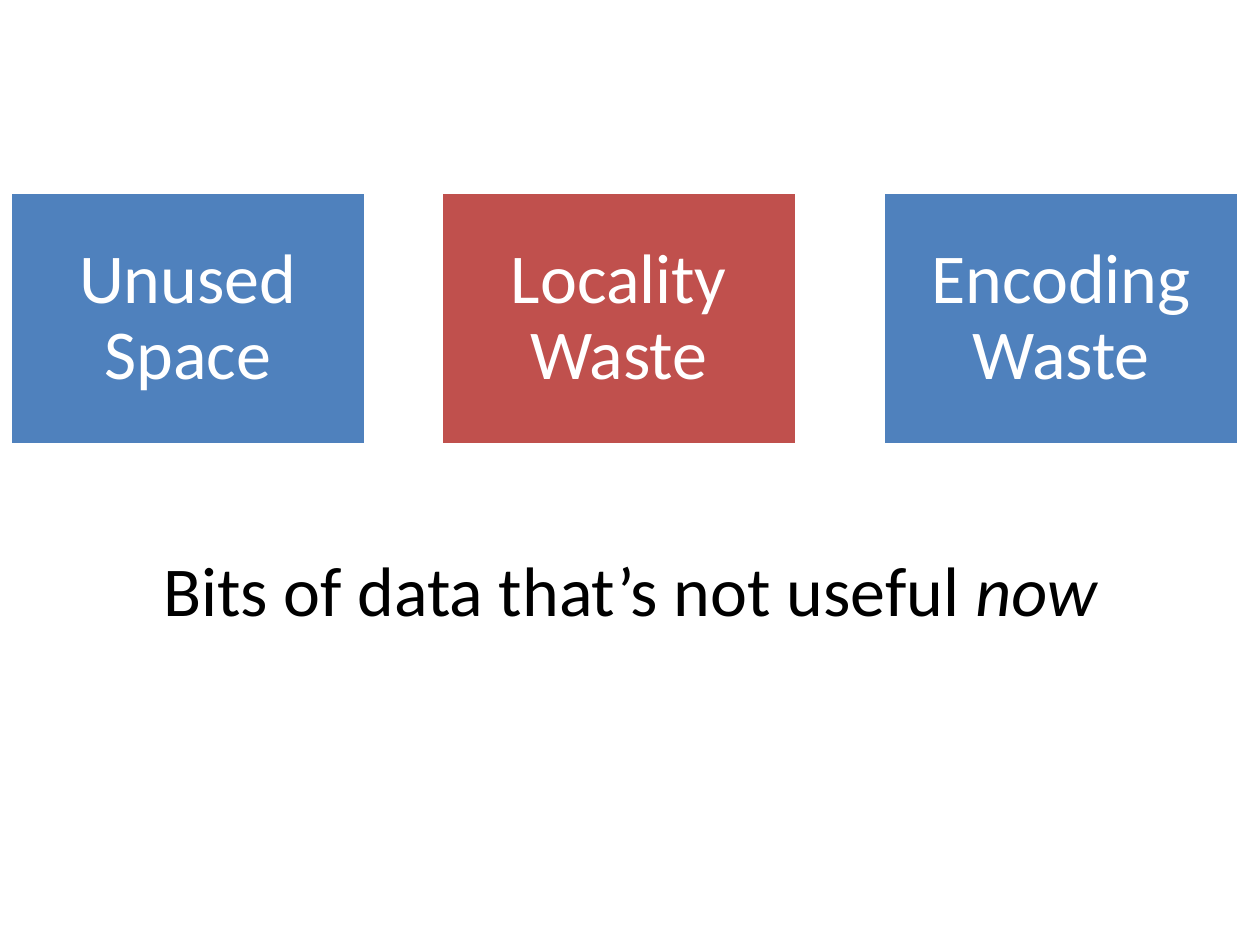
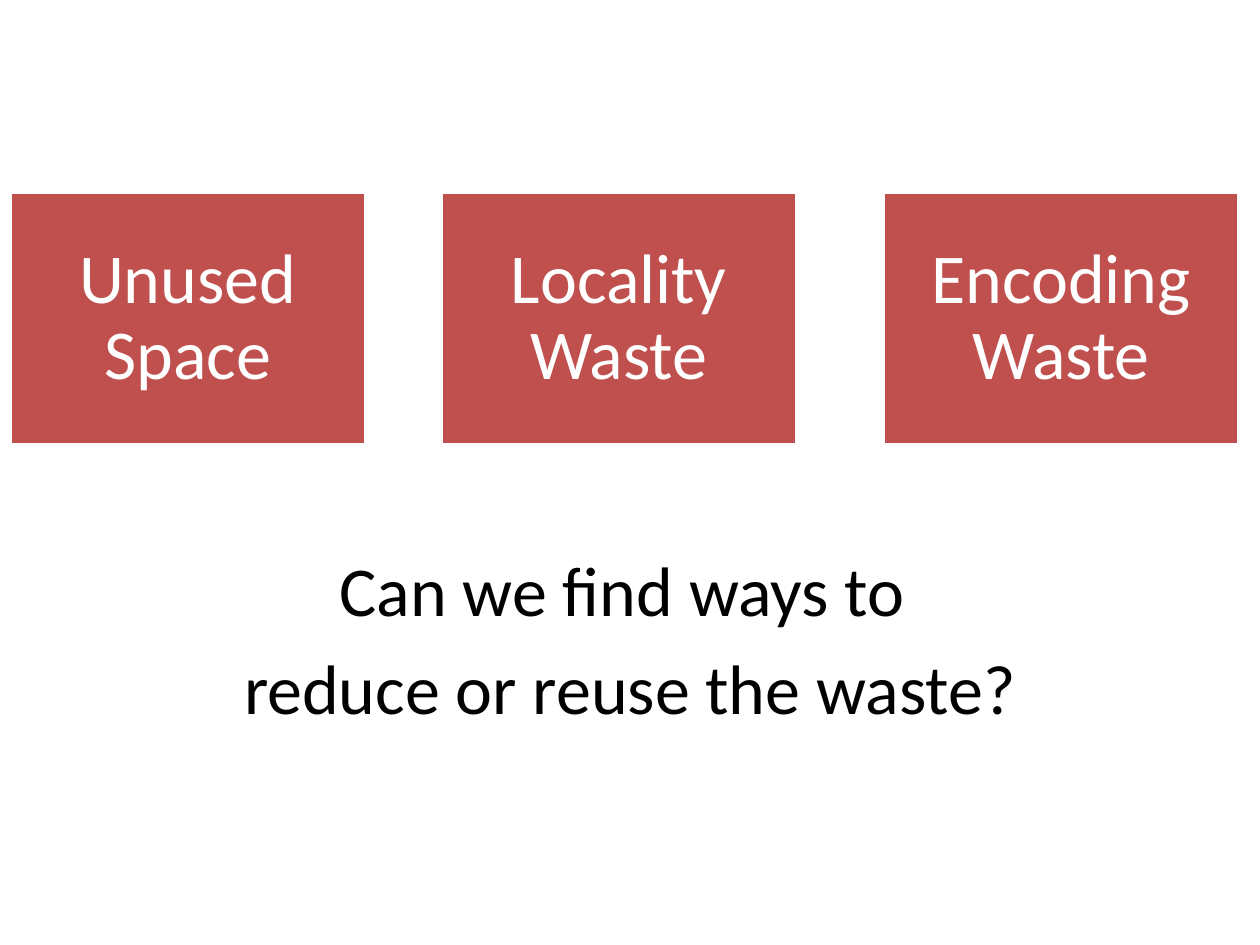
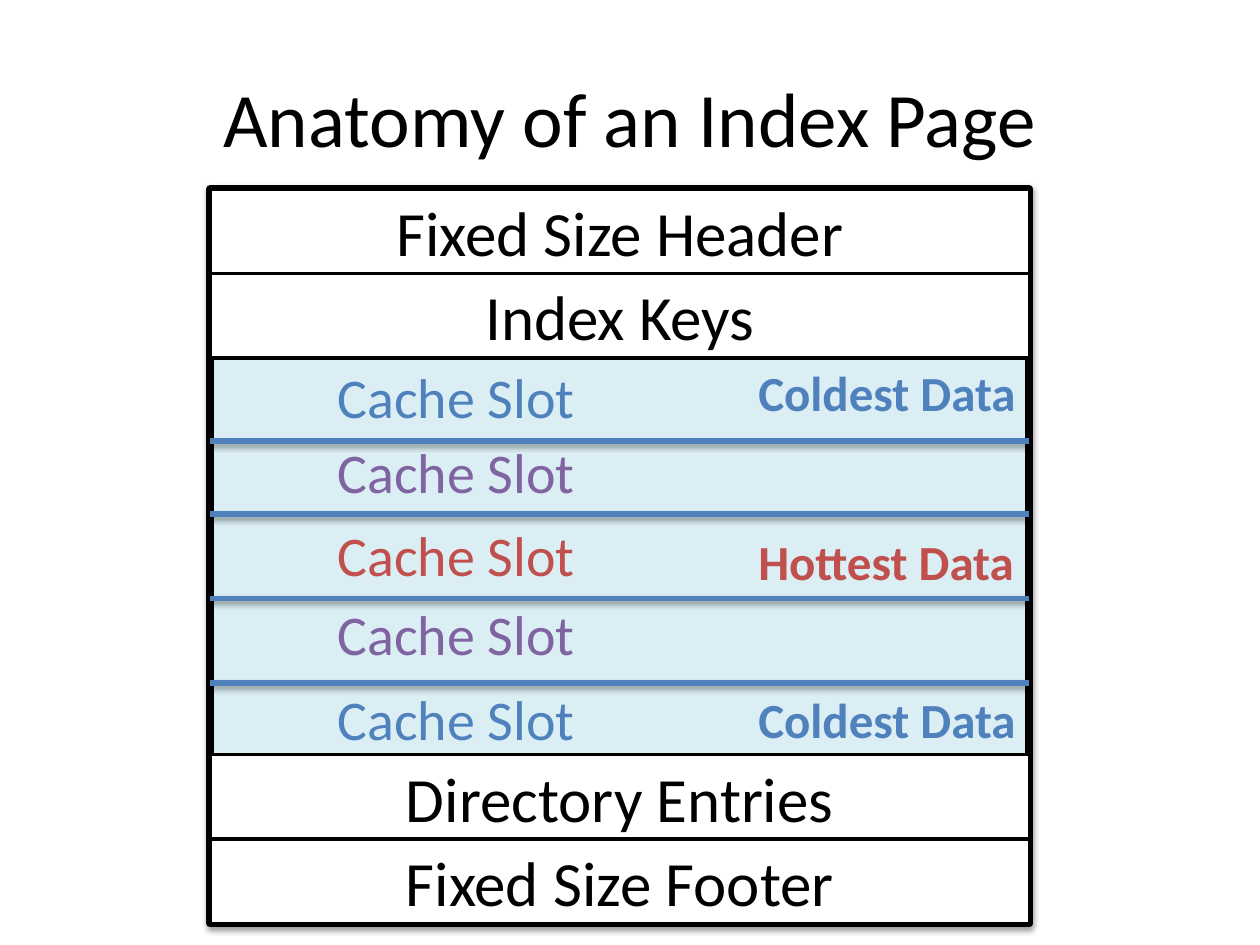
from lxml import etree
from pptx import Presentation
from pptx.dml.color import RGBColor
from pptx.enum.shapes import MSO_CONNECTOR, MSO_SHAPE
from pptx.enum.text import MSO_ANCHOR, PP_ALIGN
from pptx.oxml.ns import qn
from pptx.util import Inches, Pt

RECTANGLE = MSO_SHAPE.RECTANGLE
STRAIGHT = MSO_CONNECTOR.STRAIGHT
MIDDLE = MSO_ANCHOR.MIDDLE
CENTER, LEFT = PP_ALIGN.CENTER, PP_ALIGN.LEFT

BLACK = RGBColor(0x00, 0x00, 0x00)
WHITE = RGBColor(0xFF, 0xFF, 0xFF)
BLUE = RGBColor(0x4F, 0x81, 0xBD)
RED = RGBColor(0xC0, 0x50, 0x4D)
PURPLE = RGBColor(0x80, 0x64, 0xA2)
PALE_BLUE = RGBColor(0xDB, 0xEE, 0xF4)

FONT = "Calibri"
TITLE_ONLY, BLANK = 5, 6

# Kinds of waste: label and left edge
WASTES = [("Unused Space", 0.08), ("Locality Waste", 3.5), ("Encoding Waste", 7.01)]
WASTE_BOX = (1.53, 2.82, 2)  # top, width, height
CAPTION_BOX = (0.5, 4.29, 9, 1.6)

# Index page: all offsets below are from its top left corner
INDEX_PAGE = (1.67, 1.5, 6.5, 5.83)
ROW_HEIGHT = 0.67
DIVIDERS = [2, 2.58, 3.25, 3.92]
SLOTS = [(1.33, BLUE), (1.92, PURPLE), (2.58, RED), (3.21, PURPLE), (3.88, BLUE)]
HEAT_LABELS = [
    ("Coldest Data", 1.33, BLUE),
    ("Hottest Data", 2.67, RED),
    ("Coldest Data", 3.92, BLUE),
]


def inches(box):
    return [Inches(length) for length in box]


def write_line(para, spans, align=CENTER, **formats):
    """Write (text, italic) spans in one paragraph."""
    para.alignment = align
    color = formats.pop("color", BLACK)
    for text, italic in spans:
        span = para.add_run()
        span.text = text
        span.font.color.rgb = color
        for name, value in {"name": FONT, "italic": italic, **formats}.items():
            setattr(span.font, name, value)


def add_text(page, box, lines, wrap=True, space=0, **formats):
    frame = page.shapes.add_textbox(*inches(box)).text_frame
    frame.word_wrap = wrap
    for number, spans in enumerate(lines):
        para = frame.add_paragraph() if number else frame.paragraphs[0]
        if number:
            para.space_before = Pt(space)
        write_line(para, spans, **formats)


def add_box(page, box, fill, line, width):
    shape = page.shapes.add_shape(RECTANGLE, *inches(box))
    shape.shadow.inherit = False
    shape.fill.solid()
    shape.fill.fore_color.rgb = fill
    shape.line.color.rgb = line
    shape.line.width = Pt(width)
    shape.text_frame.vertical_anchor = MIDDLE
    shape.text_frame.word_wrap = True
    return shape


def add_shadow(shape, opacity, distance):
    """Give a shape or connector a soft shadow straight below it."""
    properties = shape._element.spPr
    effects = properties.find(qn("a:effectLst"))
    if effects is None:
        effects = etree.SubElement(properties, qn("a:effectLst"))
    shadow = etree.SubElement(
        effects, qn("a:outerShdw"), blurRad=str(Pt(3.1)), dist=str(Pt(distance)),
        dir="5400000", rotWithShape="0")
    color = etree.SubElement(shadow, qn("a:srgbClr"), val=str(BLACK))
    etree.SubElement(color, qn("a:alpha"), val=str(opacity * 1000))


def add_waste_slide(deck, fills, caption):
    page = deck.slides.add_slide(deck.slide_layouts[BLANK])
    for (label, left), fill in zip(WASTES, fills):
        frame = add_box(page, (left, *WASTE_BOX), fill, WHITE, 2).text_frame
        for side in ("left", "top", "right", "bottom"):
            setattr(frame, f"margin_{side}", Inches(0.17))
        frame.paragraphs[0].line_spacing = 0.9
        write_line(frame.paragraphs[0], [(label, False)], size=Pt(40), color=WHITE)
    add_text(page, CAPTION_BOX, caption, space=8, size=Pt(40))


def add_title(page, text):
    title = page.shapes.title
    title.left, title.top, title.width, title.height = inches((0.5, 0.3, 9, 1.25))
    title.text_frame.vertical_anchor = MIDDLE
    write_line(title.text_frame.paragraphs[0], [(text, False)], size=Pt(44))


def add_fixed_rows(page, left, top, width, height):
    rows = [
        ("Fixed Size Header", 0),
        ("Index Keys", ROW_HEIGHT),
        ("Directory Entries", height - 2 * ROW_HEIGHT),
        ("Fixed Size Footer", height - ROW_HEIGHT),
    ]
    for label, offset in rows:
        row = add_box(page, (left, top + offset, width, ROW_HEIGHT), WHITE, BLACK, 2)
        write_line(row.text_frame.paragraphs[0], [(label, False)], size=Pt(36))


def add_cache(page, left, top, width):
    # Heat labels at the right
    for label, offset, color in HEAT_LABELS:
        add_text(page, (left + 4.25, top + offset, 2.27, 0.57), [[(label, False)]],
                 wrap=False, align=LEFT, size=Pt(28), bold=True, color=color)
    # Lines between slots
    for offset in DIVIDERS:
        ends = (left + width, top + offset, left, top + offset)
        divider = page.shapes.add_connector(STRAIGHT, *inches(ends))
        divider.line.color.rgb = BLUE
        divider.line.width = Pt(3)
        add_shadow(divider, 35, 1.8)
    # Slot names
    for offset, color in SLOTS:
        add_text(page, (left + 0.66, top + offset, 2.58, 0.64),
                 [[("Cache Slot", False)]], size=Pt(32), color=color)


def add_index_slide(deck):
    page = deck.slides.add_slide(deck.slide_layouts[TITLE_ONLY])
    add_title(page, "Anatomy of an Index Page")
    add_shadow(add_box(page, INDEX_PAGE, PALE_BLUE, BLACK, 4.5), 38, 1.6)
    add_fixed_rows(page, *INDEX_PAGE)
    add_cache(page, *INDEX_PAGE[:3])


def main():
    deck = Presentation()
    deck.slide_width, deck.slide_height = Inches(10), Inches(7.5)
    add_waste_slide(deck, [BLUE, RED, BLUE],
                    [[("Bits of data that’s not useful ", False), ("now", True)]])
    add_waste_slide(deck, [RED] * 3,
                    [[("Can we find ways to ", False)],
                     [("reduce or reuse the waste?", False)]])
    add_index_slide(deck)
    deck.save("out.pptx")


if __name__ == "__main__":
    main()
